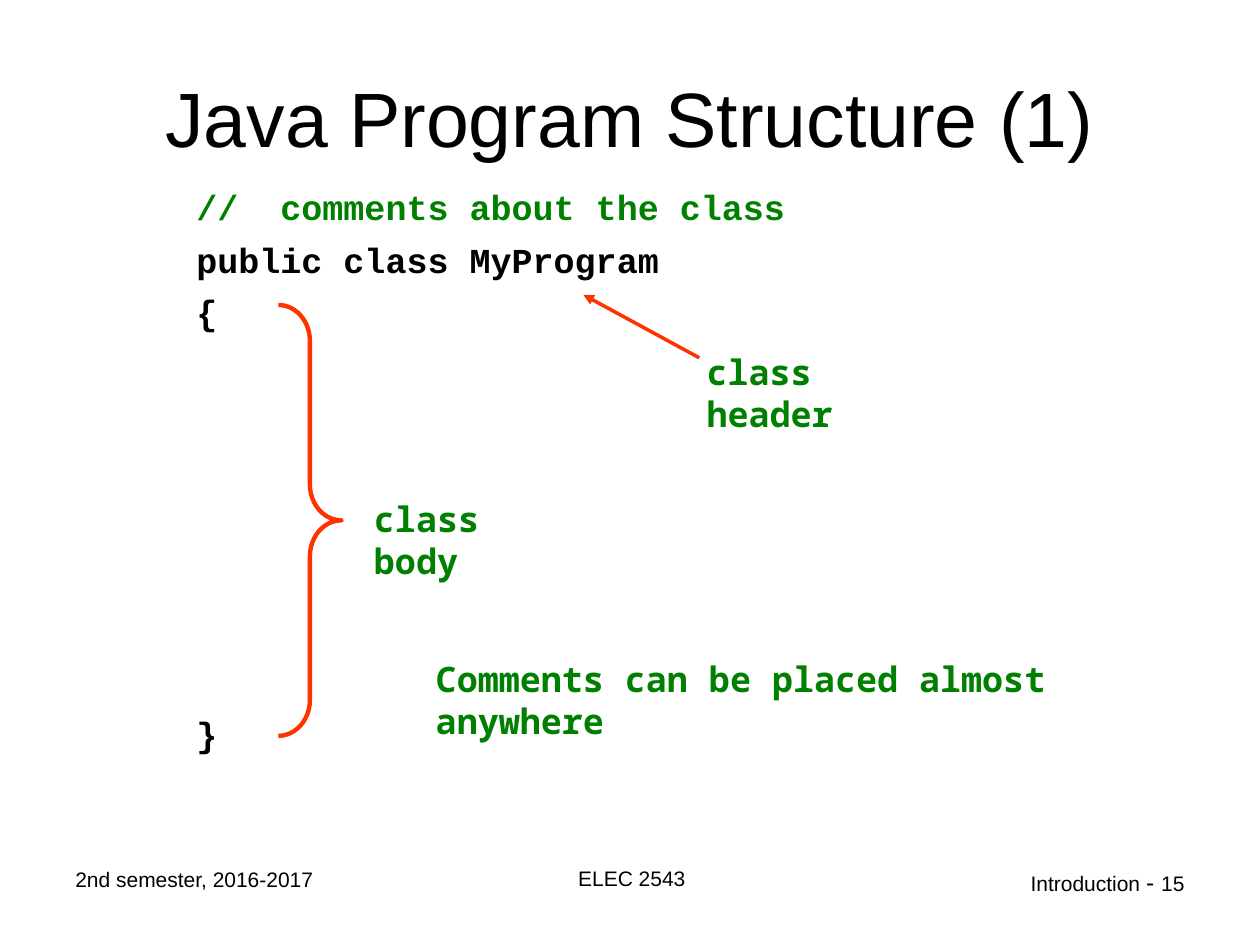
"""Build the slide on the structure of a Java program."""
from lxml.etree import SubElement
from pptx import Presentation
from pptx.dml.color import RGBColor
from pptx.enum.shapes import MSO_CONNECTOR, MSO_SHAPE
from pptx.enum.text import MSO_ANCHOR, PP_ALIGN
from pptx.oxml.ns import qn
from pptx.util import Inches, Pt

BLACK, GREEN, RED = "000000", "008000", "FF3300"
CODE = {"name": "Courier New", "size": Pt(20), "bold": True}
LABEL = {"name": "Noto Sans Mono", "size": Pt(20), "bold": True}
FOOTER = {"name": "Arial", "size": Pt(12), "bold": False}
TITLE = {"name": "Arial", "size": Pt(44), "bold": False}


def rgb(value):
    """Return the colour of a hex string."""
    return RGBColor.from_string(value)


def write(paragraph, text, style, color):
    """Add a run of text in the given style."""
    run = paragraph.add_run()
    run.text = text
    for attribute, value in style.items():
        setattr(run.font, attribute, value)
    run.font.color.rgb = rgb(color)


deck = Presentation()
deck.slide_width, deck.slide_height = Inches(10), Inches(7.5)
slide = deck.slides.add_slide(deck.slide_layouts[5])

title = slide.shapes.title
title.left, title.top = Inches(0.5), Inches(0.3)
title.width, title.height = Inches(9), Inches(1.25)
title.text_frame.vertical_anchor = MSO_ANCHOR.MIDDLE
heading = title.text_frame.paragraphs[0]
heading.alignment = PP_ALIGN.CENTER
write(heading, "Java Program Structure (1)", TITLE, BLACK)

left, center, right = PP_ALIGN.LEFT, PP_ALIGN.CENTER, PP_ALIGN.RIGHT
texts = [
    (1.46, 1.84, 3.92, 0.44, ["public class MyProgram"], CODE, BLACK, left),
    (1.46, 2.26, 0.4, 3.77, ["{", "}"], CODE, BLACK, left),
    (1.46, 1.42, 4.92, 0.44, ["//  comments about the class"], CODE, GREEN, left),
    (5.51, 2.73, 1.93, 0.44, ["class header"], LABEL, GREEN, left),
    (2.87, 3.9, 1.63, 0.44, ["class body"], LABEL, GREEN, left),
    (3.36, 5.17, 6.15, 0.44, ["Comments can be placed almost anywhere"], LABEL, GREEN, left),
    (0.5, 6.83, 2.33, 0.52, ["2nd semester, 2016-2017"], FOOTER, BLACK, left),
    (3.43, 6.82, 3.17, 0.52, ["ELEC 2543"], FOOTER, BLACK, center),
    (7.17, 6.83, 2.33, 0.52, ["Introduction "], FOOTER, BLACK, right),
]
for x, y, width, height, lines, style, color, alignment in texts:
    frame = slide.shapes.add_textbox(
        Inches(x), Inches(y), Inches(width), Inches(height)).text_frame
    frame.word_wrap = True
    for index, line in enumerate(lines):
        paragraph = frame.add_paragraph() if index else frame.paragraphs[0]
        paragraph.alignment = alignment
        if index:
            paragraph.space_before = Pt(217)
        write(paragraph, line, style, color)

page_number = paragraph
write(page_number, "- ", FOOTER | {"size": Pt(14)}, BLACK)
write(page_number, "15", FOOTER, BLACK)

body_brace = slide.shapes.add_shape(
    MSO_SHAPE.RIGHT_BRACE, Inches(2.21), Inches(2.42), Inches(0.5), Inches(3.42))
body_brace.adjustments[0] = 0.57
body_brace.shadow.inherit = False
body_brace.fill.background()
body_brace.line.color.rgb = rgb(RED)
body_brace.line.width = Pt(2.5)

header_arrow = slide.shapes.add_connector(
    MSO_CONNECTOR.STRAIGHT, Inches(5.55), Inches(2.84), Inches(4.63), Inches(2.34))
header_arrow.line.color.rgb = rgb(RED)
header_arrow.line.width = Pt(2)
SubElement(header_arrow.line._get_or_add_ln(), qn("a:tailEnd"), type="triangle")
SubElement(header_arrow._element.spPr, qn("a:effectLst"))

deck.save("out.pptx")
